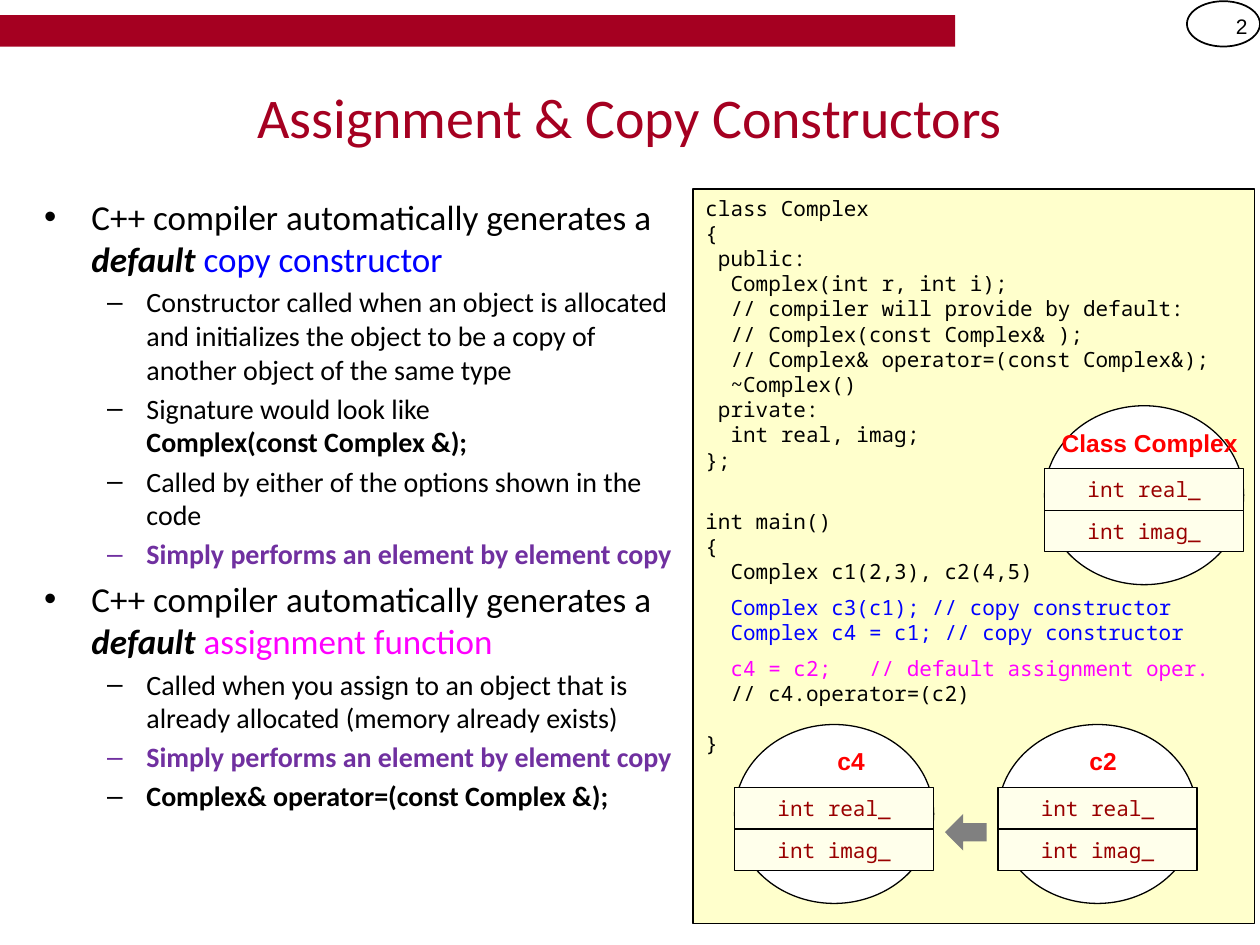
"""Build the slide on default assignment and copy constructors in C++."""
from dataclasses import dataclass
from typing import Optional

from pptx import Presentation
from pptx.dml.color import RGBColor
from pptx.enum.shapes import MSO_SHAPE
from pptx.enum.text import MSO_ANCHOR, MSO_AUTO_SIZE, PP_ALIGN
from pptx.util import Inches, Pt

RECTANGLE, OVAL, LEFT_ARROW = MSO_SHAPE.RECTANGLE, MSO_SHAPE.OVAL, MSO_SHAPE.LEFT_ARROW
TOP, MIDDLE = MSO_ANCHOR.TOP, MSO_ANCHOR.MIDDLE
LEFT, CENTER, RIGHT = PP_ALIGN.LEFT, PP_ALIGN.CENTER, PP_ALIGN.RIGHT
NO_AUTOFIT = MSO_AUTO_SIZE.NONE


@dataclass(frozen=True)
class Theme:
    """Colours, typefaces and type sizes of the slide."""
    crimson: str = "A50021"
    black: str = "000000"
    white: str = "FFFFFF"
    blue: str = "0000FF"
    magenta: str = "FF00FF"
    purple: str = "7030A0"
    red: str = "FF0000"
    maroon: str = "990000"
    gray: str = "808080"
    code_fill: str = "FFFFCC"
    field_fill: str = "FFFFEB"
    text_face: str = "Calibri"
    label_face: str = "Arial"
    code_face: str = "Noto Sans Mono"
    title_size: int = 32
    topic_size: int = 20
    detail_size: int = 16
    label_size: int = 14
    code_size: int = 12


THEME = Theme()


@dataclass(frozen=True)
class Span:
    """A stretch of text in one colour and weight."""
    text: str
    color: str = THEME.black
    bold: bool = False
    italic: bool = False


@dataclass(frozen=True)
class Bullet:
    """A list entry with its indent level."""
    level: int
    spans: tuple[Span, ...]


@dataclass(frozen=True)
class Box:
    """A position and size in inches."""
    left: float
    top: float
    width: float
    height: float

    def lengths(self) -> tuple[int, int, int, int]:
        """Return the four measures as slide lengths."""
        return Inches(self.left), Inches(self.top), Inches(self.width), Inches(self.height)


@dataclass(frozen=True)
class ObjectDiagram:
    """An oval standing for a class or object, with its fields."""
    label: str
    left: float
    top: float
    label_left: float
    fields_top: float


GENERATES = Span("C++ compiler automatically generates a ")
DEFAULT = Span("default ", bold=True, italic=True)
ELEMENT_COPY = Bullet(1, (Span("Simply performs an element by element copy", THEME.purple, True),))

BULLETS = (
    Bullet(0, (GENERATES, DEFAULT, Span("copy constructor", THEME.blue))),
    Bullet(1, (Span("Constructor called when an object is allocated and initializes "
                    "the object to be a copy of another object of the same type"),)),
    Bullet(1, (Span("Signature would look like\n"), Span("Complex(const Complex &);", bold=True))),
    Bullet(1, (Span("Called by either of the options shown in the code"),)),
    ELEMENT_COPY,
    Bullet(0, (GENERATES, DEFAULT, Span("assignment function", THEME.magenta))),
    Bullet(1, (Span("Called when you assign to an object that is already allocated "
                    "(memory already exists)"),)),
    ELEMENT_COPY,
    Bullet(1, (Span("Complex& operator=(const Complex &);", bold=True),)),
)

CLASS_CODE = """class Complex
{
 public:
  Complex(int r, int i);
  // compiler will provide by default:
  // Complex(const Complex& );
  // Complex& operator=(const Complex&);
  ~Complex()
 private:
  int real, imag;
};"""
MAIN_CODE = """
int main()
{
  Complex c1(2,3), c2(4,5)"""
COPY_CODE = """  Complex c3(c1); // copy constructor
  Complex c4 = c1; // copy constructor"""
CODE = (
    (Span(CLASS_CODE),),
    (Span(MAIN_CODE),),
    (Span(COPY_CODE, THEME.blue),),
    (Span("  c4 = c2;   // default assignment oper.\n", THEME.magenta),
     Span("  // c4.operator=(c2)\n\n}")),
)

FIELDS = ("int real_", "int imag_")
FIELD_HEIGHT = 0.33
OVAL_WIDTH, OVAL_HEIGHT = 1.58, 1.42
DIAGRAMS = (
    ObjectDiagram("Class Complex", 8.29, 3.22, 8.29, 3.72),
    ObjectDiagram("c4", 5.83, 5.75, 5.92, 6.25),
    ObjectDiagram("c2", 7.92, 5.75, 7.92, 6.25),
)


def write(paragraph, spans: tuple[Span, ...], face: str, size: int, align=LEFT) -> None:
    """Add the spans to a paragraph run by run, breaking at newlines."""
    paragraph.alignment = align
    for span in spans:
        for index, line in enumerate(span.text.split("\n")):
            if index:
                paragraph.add_line_break()
            if line:
                run = paragraph.add_run()
                run.text = line
                run.font.name, run.font.size = face, Pt(size)
                run.font.bold, run.font.italic = span.bold, span.italic
                run.font.color.rgb = RGBColor.from_string(span.color)


def add_figure(slide, kind, box: Box, fill: Optional[str] = None, line_width: float = 0):
    """Draw a preset shape with an optional fill and black outline."""
    figure = slide.shapes.add_shape(kind, *box.lengths())
    figure.shadow.inherit = False
    if fill:
        figure.fill.solid()
        figure.fill.fore_color.rgb = RGBColor.from_string(fill)
    else:
        figure.fill.background()
    if line_width:
        figure.line.color.rgb = RGBColor.from_string(THEME.black)
        figure.line.width = Pt(line_width)
    else:
        figure.line.fill.background()
    return figure


def add_label(slide, box: Box, span: Span, size: int, align) -> None:
    """Add a single label centred vertically in its box."""
    frame = slide.shapes.add_textbox(*box.lengths()).text_frame
    frame.word_wrap, frame.vertical_anchor = True, MIDDLE
    write(frame.paragraphs[0], (span,), THEME.label_face, size, align)


def place(placeholder, box: Box, anchor):
    """Move a placeholder and return its text frame."""
    placeholder.left, placeholder.top, placeholder.width, placeholder.height = box.lengths()
    frame = placeholder.text_frame
    frame.auto_size, frame.vertical_anchor = NO_AUTOFIT, anchor
    return frame


def fill_bullets(frame, bullets: tuple[Bullet, ...]) -> None:
    """Write the two-level list."""
    for index, bullet in enumerate(bullets):
        paragraph = frame.add_paragraph() if index else frame.paragraphs[0]
        paragraph.level = bullet.level
        size = THEME.detail_size if bullet.level else THEME.topic_size
        paragraph.space_before = Pt(0.2 * size if index else 0)
        write(paragraph, bullet.spans, THEME.text_face, size)


def add_code(slide, box: Box) -> None:
    """Draw the code panel."""
    frame = add_figure(slide, RECTANGLE, box, THEME.code_fill, 0.75).text_frame
    frame.word_wrap, frame.vertical_anchor = True, TOP
    for index, spans in enumerate(CODE):
        paragraph = frame.add_paragraph() if index else frame.paragraphs[0]
        paragraph.space_before = Pt(0.5 * THEME.code_size if index else 0)
        paragraph.font.size = Pt(THEME.code_size)
        write(paragraph, spans, THEME.code_face, THEME.code_size)


def add_diagram(slide, diagram: ObjectDiagram) -> None:
    """Draw an object oval with its label and stacked fields."""
    oval = Box(diagram.left, diagram.top, OVAL_WIDTH, OVAL_HEIGHT)
    add_figure(slide, OVAL, oval, THEME.white, 0.75)
    add_label(slide, Box(diagram.label_left, diagram.fields_top - 0.42, 1.67, 0.42),
              Span(diagram.label, THEME.red, True), THEME.label_size, CENTER)
    for index, field in enumerate(FIELDS):
        row = Box(diagram.left, diagram.fields_top + index * FIELD_HEIGHT, OVAL_WIDTH, FIELD_HEIGHT)
        frame = add_figure(slide, RECTANGLE, row, THEME.field_fill, 0.75).text_frame
        frame.vertical_anchor = MIDDLE
        write(frame.paragraphs[0], (Span(field, THEME.maroon),),
              THEME.code_face, THEME.code_size, CENTER)


def main() -> None:
    """Assemble and save the slide."""
    deck = Presentation()
    deck.slide_width, deck.slide_height = Inches(10), Inches(7.5)
    slide = deck.slides.add_slide(deck.slide_layouts[1])
    add_figure(slide, RECTANGLE, Box(0, 0.12, 7.58, 0.25), THEME.crimson)
    add_figure(slide, OVAL, Box(9.42, 0.01, 0.58, 0.36), line_width=1)
    add_label(slide, Box(9.42, 0.01, 0.58, 0.4), Span("2"), THEME.code_size, RIGHT)
    title = place(slide.shapes.title, Box(0.5, 0.3, 9, 1.25), MIDDLE)
    write(title.paragraphs[0], (Span("Assignment & Copy Constructors", THEME.crimson),),
          THEME.text_face, THEME.title_size, CENTER)
    fill_bullets(place(slide.placeholders[1], Box(0.25, 1.5, 5.33, 4.67), TOP), BULLETS)
    add_code(slide, Box(5.5, 1.5, 4.46, 5.83))
    for diagram in DIAGRAMS:
        add_diagram(slide, diagram)
    add_figure(slide, LEFT_ARROW, Box(7.5, 6.46, 0.33, 0.29), THEME.gray)
    deck.save("out.pptx")


if __name__ == "__main__":
    main()
